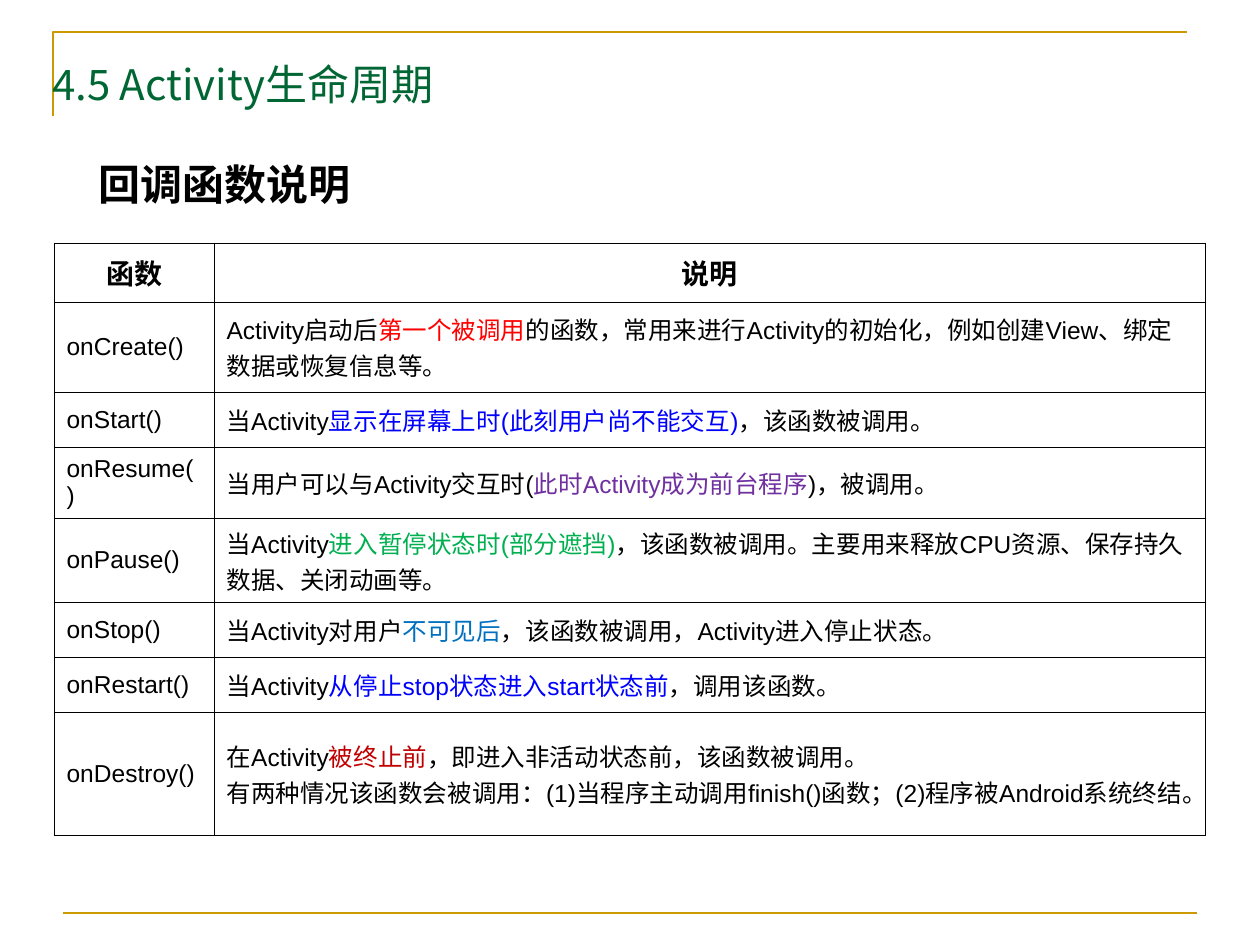
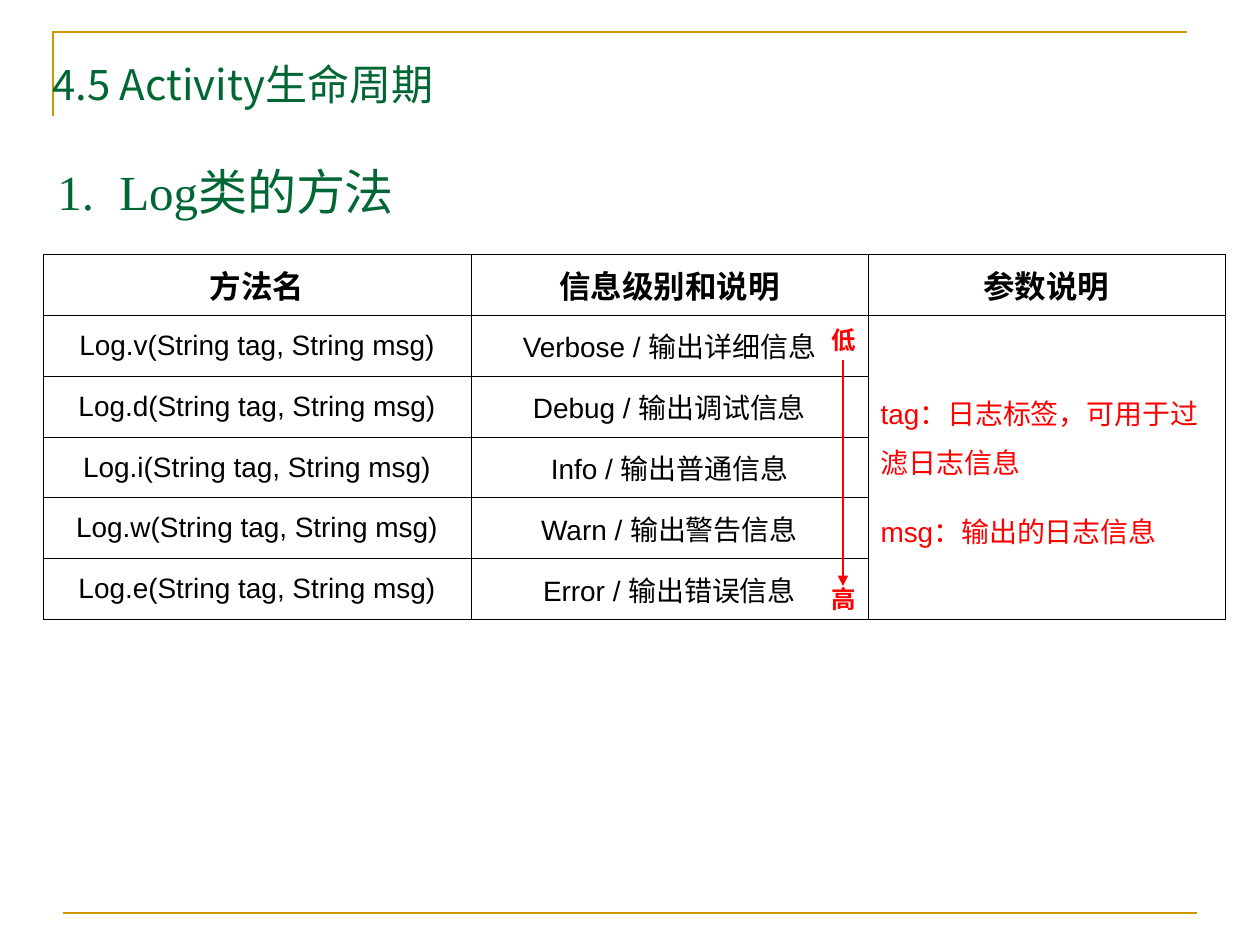
from dataclasses import dataclass
from typing import NamedTuple

import pptx
import pptx.dml.color
import pptx.enum.shapes
import pptx.enum.text
import pptx.oxml.ns
import pptx.util
from lxml import etree

EMU_PER_PX = 914400 / 126
GOLD, GREEN, RED, BLACK = "CC9900", "006633", "FF0000", "000000"
SANS, CJK, SERIF = "Arial", "Noto Sans CJK SC", "Times New Roman"
LEFT = pptx.enum.text.PP_ALIGN.LEFT
CENTER = pptx.enum.text.PP_ALIGN.CENTER
qn = pptx.oxml.ns.qn


class Span(NamedTuple):
    text: str
    color: str = BLACK


class Para(NamedTuple):
    spans: list[Span]
    space_after: int = 0
    line_spacing: float = 1.0


class Style(NamedTuple):
    size: int
    font: str = SANS
    bold: bool = False
    align: pptx.enum.text.PP_ALIGN = LEFT


@dataclass
class Label:
    left: int
    top: int
    width: int
    height: int
    span: Span
    style: Style
    wrap: bool = False
    tab_stop: int = 0


@dataclass
class Cell:
    paras: list[Para]
    style: Style
    rows_spanned: int = 1


@dataclass
class Grid:
    left: int
    top: int
    widths: list[int]
    heights: list[int]
    rows: list[list[Cell]]


def px(length: int) -> pptx.util.Emu:
    return pptx.util.Emu(round(length * EMU_PER_PX))


def rgb(color: str) -> pptx.dml.color.RGBColor:
    return pptx.dml.color.RGBColor.from_string(color)


def line_of(text: str, style: Style, color: str = BLACK) -> Cell:
    """Make a cell that holds one run."""
    return Cell([Para([Span(text, color)])], style)


def write_para(para, content: Para, style: Style) -> None:
    para.alignment = style.align
    if content.space_after:
        para.space_after = pptx.util.Pt(content.space_after)
    if content.line_spacing != 1:
        para.line_spacing = content.line_spacing
    for span in content.spans:
        run = para.add_run()
        run.text = span.text
        run.font.size = pptx.util.Pt(style.size)
        run.font.bold = style.bold
        run.font.color.rgb = rgb(span.color)
        run.font.name = style.font
        etree.SubElement(run.font._element, qn("a:ea"), typeface=CJK)


def write_paras(frame, contents: list[Para], style: Style) -> None:
    for index, content in enumerate(contents):
        para = frame.add_paragraph() if index else frame.paragraphs[0]
        write_para(para, content, style)


def add_label(page, label: Label) -> None:
    box = page.shapes.add_textbox(
        px(label.left), px(label.top), px(label.width), px(label.height))
    frame = box.text_frame
    frame.word_wrap = label.wrap
    if not label.wrap:
        frame.auto_size = pptx.enum.text.MSO_AUTO_SIZE.SHAPE_TO_FIT_TEXT
    if label.tab_stop:
        properties = frame.paragraphs[0]._p.get_or_add_pPr()
        tabs = etree.SubElement(properties, qn("a:tabLst"))
        etree.SubElement(tabs, qn("a:tab"), pos=str(px(label.tab_stop)), algn="l")
    write_paras(frame, [Para([label.span])], label.style)


def add_line(page, start: tuple[int, int], end: tuple[int, int], color: str,
             arrow: bool = False) -> None:
    line = page.shapes.add_connector(
        pptx.enum.shapes.MSO_CONNECTOR.STRAIGHT,
        px(start[0]), px(start[1]), px(end[0]), px(end[1]))
    line.line.color.rgb = rgb(color)
    line.line.width = pptx.util.Pt(1.5)
    if arrow:
        etree.SubElement(line.line._get_or_add_ln(), qn("a:tailEnd"), type="triangle")
    etree.SubElement(line._element.spPr, qn("a:effectLst"))


def set_borders(cell) -> None:
    properties = cell._tc.get_or_add_tcPr()
    for side in ("lnL", "lnR", "lnT", "lnB"):
        border = etree.SubElement(
            properties, qn(f"a:{side}"), w=str(pptx.util.Pt(0.45)))
        fill = etree.SubElement(border, qn("a:solidFill"))
        etree.SubElement(fill, qn("a:srgbClr"), val=BLACK)


def add_grid(page, grid: Grid) -> None:
    table = page.shapes.add_table(
        len(grid.heights), len(grid.widths), px(grid.left), px(grid.top),
        px(sum(grid.widths)), px(sum(grid.heights))).table
    table.first_row = table.horz_banding = False
    for column, width in zip(table.columns, grid.widths):
        column.width = px(width)
    for row, height in zip(table.rows, grid.heights):
        row.height = px(height)
    for cell in table.iter_cells():
        set_borders(cell)
        cell.fill.background()
        cell.vertical_anchor = pptx.enum.text.MSO_ANCHOR.MIDDLE
    for row_index, row in enumerate(grid.rows):
        for column_index, content in enumerate(row):
            cell = table.cell(row_index, column_index)
            if content.rows_spanned > 1:
                last_row = row_index + content.rows_spanned - 1
                cell.merge(table.cell(last_row, column_index))
            write_paras(cell.text_frame, content.paras, content.style)


def add_page(deck):
    """Add a page with the gold frame and the section title."""
    page = deck.slides.add_slide(deck.slide_layouts[6])
    builder = page.shapes.build_freeform(53, 116, scale=EMU_PER_PX)
    builder.add_line_segments([(53, 32), (1187, 32)], close=False)
    corner = builder.convert_to_shape()
    corner.shadow.inherit = False
    corner.fill.background()
    corner.line.color.rgb = rgb(GOLD)
    corner.line.width = pptx.util.Pt(1.5)
    add_line(page, (63, 913), (1197, 913), GOLD)
    add_label(page, Label(40, 52, 507, 63, Span("4.5 Activity生命周期", GREEN),
                          Style(24, CJK)))
    return page


def add_callbacks_page(deck) -> None:
    header = Style(16, bold=True, align=CENTER)
    body = Style(14)
    callbacks = [
        ("onCreate()", [Para([
            Span("Activity启动后"), Span("第一个被调用", RED),
            Span("的函数，常用来进行Activity的初始化，例如创建View、绑定数据或恢复信息等。")])]),
        ("onStart()", [Para([
            Span("当Activity"), Span("显示在屏幕上时(此刻用户尚不能交互)", "0000FF"),
            Span("，该函数被调用。")])]),
        ("onResume()", [Para([
            Span("当用户可以与Activity交互时("),
            Span("此时Activity成为前台程序", "7030A0"), Span(")，被调用。")])]),
        ("onPause()", [Para([
            Span("当Activity"), Span("进入暂停状态时(部分遮挡)", "00B050"),
            Span("，该函数被调用。主要用来释放CPU资源、保存持久数据、关闭动画等。")])]),
        ("onStop()", [Para([
            Span("当Activity对用户"), Span("不可见后", "0070C0"),
            Span("，该函数被调用，Activity进入停止状态。")])]),
        ("onRestart()", [Para([
            Span("当Activity"), Span("从停止stop状态进入start状态前", "0000FF"),
            Span("，调用该函数。")])]),
        ("onDestroy()", [
            Para([Span("在Activity"), Span("被终止前", "C00000"),
                  Span("，即进入非活动状态前，该函数被调用。")]),
            Para([Span("有两种情况该函数会被调用：(1)当程序主动调用finish()函数；"
                       "(2)程序被Android系统终结。")])]),
    ]
    rows = [[line_of("函数", header), line_of("说明", header)]]
    rows += [[line_of(name, body), Cell(paras, body)] for name, paras in callbacks]

    page = add_page(deck)
    add_grid(page, Grid(54, 243, [160, 991],
                        [59, 90, 55, 65, 84, 55, 55, 123], rows))
    add_label(page, Label(86, 152, 277, 63, Span("回调函数说明"),
                          Style(24, bold=True)))


def add_log_page(deck) -> None:
    header = Style(18, bold=True, align=CENTER)
    body = Style(16, align=CENTER)
    levels = [("Verbose", "详细"), ("Debug", "调试"), ("Info", "普通"),
              ("Warn", "警告"), ("Error", "错误")]
    rows = [[line_of(name, header) for name in ("方法名", "信息级别和说明", "参数说明")]]
    rows += [[line_of(f"Log.{level[0].lower()}(String tag, String msg)", body),
              line_of(f"{level} / 输出{kind}信息", body)] for level, kind in levels]
    rows[1].append(Cell([
        Para([Span("tag：日志标签，可用于过滤日志信息", RED)], 12, 1.2),
        Para([Span("msg：输出的日志信息", RED)], 18, 1.2),
    ], Style(16), rows_spanned=len(levels)))

    page = add_page(deck)
    add_label(page, Label(45, 155, 1134, 88, Span("1.\tLog类的方法", GREEN),
                          Style(28, SERIF), wrap=True, tab_stop=62))
    add_grid(page, Grid(43, 254, [428, 397, 357], [61] * len(rows), rows))
    add_line(page, (843, 360), (843, 586), RED, arrow=True)
    for text, top in (("低", 319), ("高", 578)):
        add_label(page, Label(819, top, 49, 43, Span(text, RED),
                              Style(14, CJK, bold=True)))


def main() -> None:
    deck = pptx.Presentation()
    deck.slide_width, deck.slide_height = px(1260), px(945)
    add_callbacks_page(deck)
    add_log_page(deck)
    deck.save("out.pptx")


if __name__ == "__main__":
    main()
